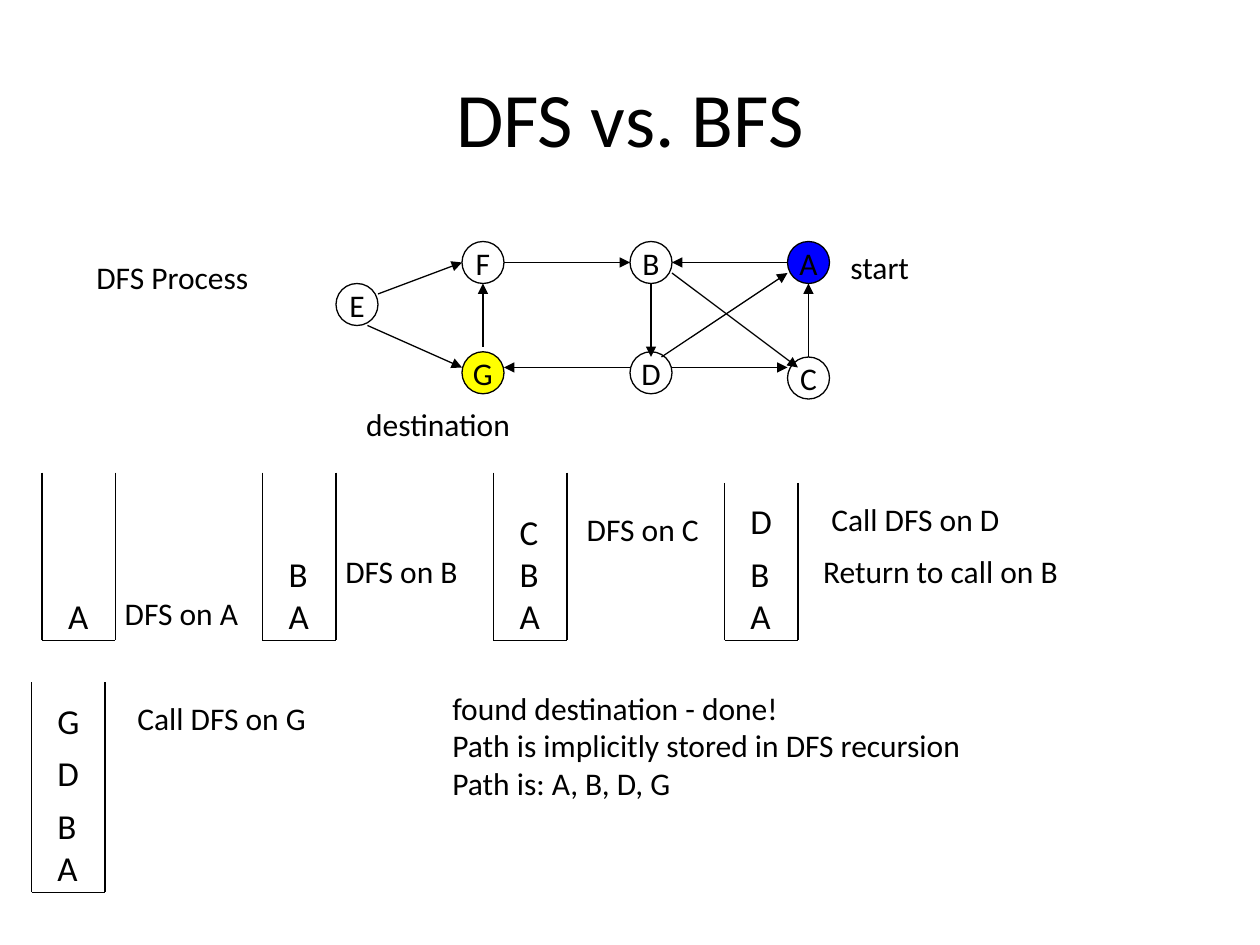
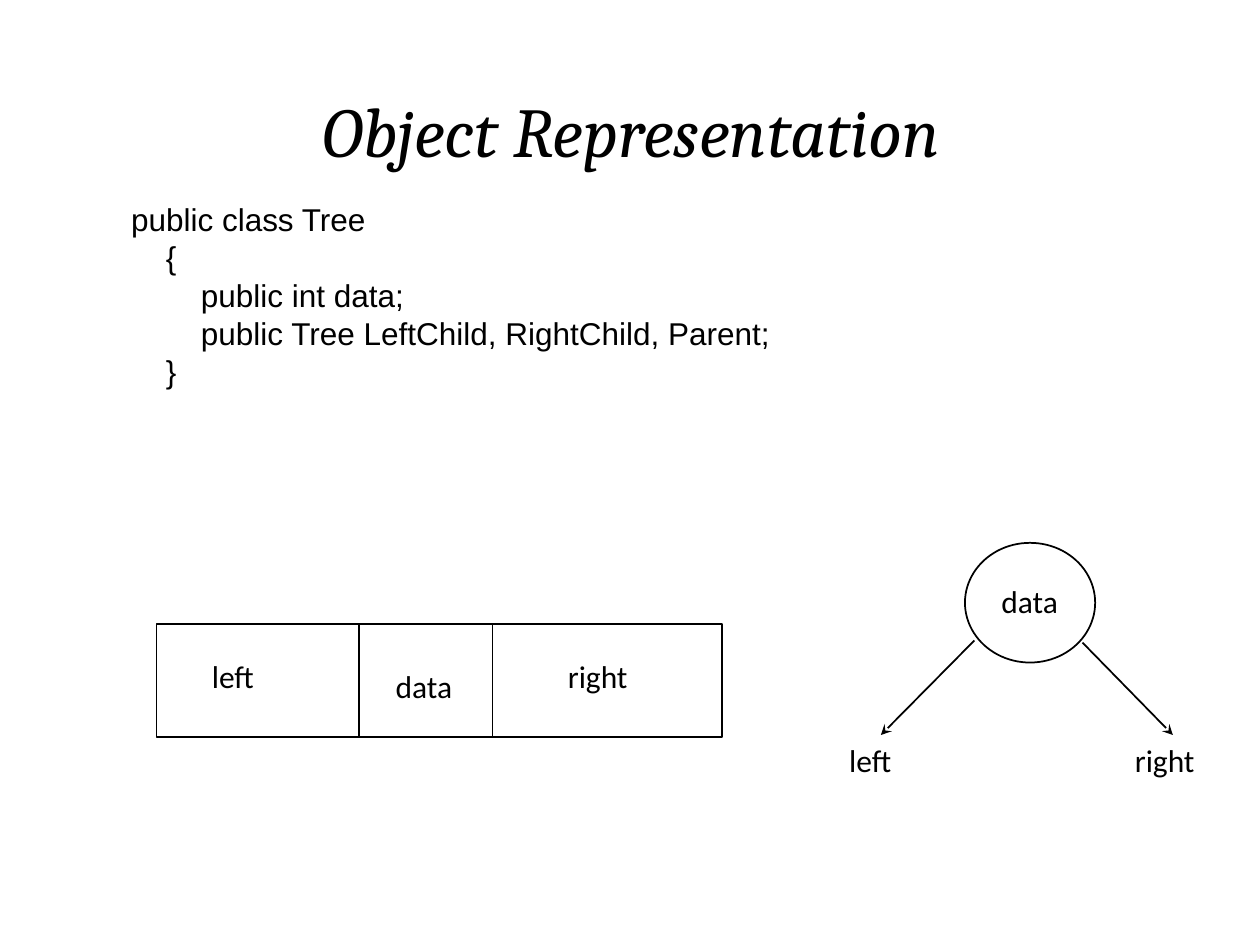
from dataclasses import dataclass

from lxml import etree
from pptx import Presentation
from pptx import util as u
from pptx.dml.color import RGBColor
from pptx.enum import shapes, text
from pptx.oxml.ns import qn

PX = 7620  # EMU per px, 120 px to the inch


@dataclass(frozen=True)
class Theme:
    ink: RGBColor = RGBColor(0, 0, 0)
    node: RGBColor = RGBColor(255, 255, 255)
    start: RGBColor = RGBColor(0, 0, 255)
    destination: RGBColor = RGBColor(255, 255, 0)
    font: str = "Calibri"
    code_font: str = "Arial"
    serif_font: str = "Cambria"
    label: int = 18
    letter: int = 20
    title: int = 44
    serif_title: int = 40
    thin: float = 0.75
    thick: float = 1


theme = Theme()


def write(shape, words, size=theme.label, font=theme.font, align=text.PP_ALIGN.LEFT,
          wrap=False, italic=None):
    """Fill a shape with text in one style."""
    frame = shape.text_frame
    frame.text = words
    frame.word_wrap = wrap
    for paragraph in frame.paragraphs:
        paragraph.alignment = align
        paragraph.font.size = u.Pt(size)
        paragraph.font.name = font
        paragraph.font.italic = italic
        paragraph.font.color.rgb = theme.ink


def draw_line(slide, start, end, weight=theme.thin, arrowhead=None):
    line = slide.shapes.add_connector(
        shapes.MSO_CONNECTOR.STRAIGHT, *(PX * v for v in (*start, *end)))
    line.line.color.rgb = theme.ink
    line.line.width = u.Pt(weight)
    properties = line._element.spPr
    if arrowhead:
        etree.SubElement(properties.find(qn("a:ln")), qn("a:tailEnd"), type=arrowhead)
    etree.SubElement(properties, qn("a:effectLst"))


prs = Presentation()
prs.slide_width, prs.slide_height = 1200 * PX, 900 * PX

# Titles
slides = []
for words, (left, top, width, height), size, font, italic in [
    ("DFS vs. BFS", (60, 36, 1080, 150), theme.title, theme.font, None),
    ("Object Representation", (0, 48, 1202, 150), theme.serif_title, theme.serif_font, True),
]:
    slide = prs.slides.add_slide(prs.slide_layouts[5])
    title = slide.shapes.title
    title.left, title.top, title.width, title.height = (
        left * PX, top * PX, width * PX, height * PX)
    write(title, words, size, font, text.PP_ALIGN.CENTER, wrap=True, italic=italic)
    slides.append(slide)
search, tree = slides

# Graph to search
NODE = 40
for name, left, top, colour in [
    ("E", 320, 270, theme.node),
    ("F", 440, 230, theme.node),
    ("G", 440, 335, theme.destination),
    ("B", 600, 230, theme.node),
    ("C", 750, 340, theme.node),
    ("D", 600, 335, theme.node),
    ("A", 750, 230, theme.start),
]:
    node = search.shapes.add_shape(
        shapes.MSO_SHAPE.OVAL, left * PX, top * PX, NODE * PX, NODE * PX)
    node.shadow.inherit = False
    node.fill.solid()
    node.fill.fore_color.rgb = colour
    node.line.color.rgb = theme.ink
    node.line.width = u.Pt(theme.thin)
    write(node, name, align=text.PP_ALIGN.CENTER)

for start, end in [
    ((360, 280), (440, 250)),  # E to F
    ((350, 310), (440, 350)),  # E to G
    ((480, 250), (600, 250)),  # F to B
    ((460, 330), (460, 270)),  # G to F
    ((600, 350), (480, 350)),  # D to G
    ((640, 350), (750, 350)),  # D to C
    ((640, 260), (760, 350)),  # B to C
    ((620, 270), (620, 340)),  # B to D
    ((630, 340), (750, 260)),  # D to A
    ((750, 250), (640, 250)),  # A to B
    ((770, 340), (770, 270)),  # C to A
]:
    draw_line(search, start, end, arrowhead="triangle")

# Call stacks: each letter sits at its rise above the stack's floor
STACK = 70
for left, top, floor, calls in [
    (40, 450, 610, {"A": 50}),
    (250, 450, 610, {"A": 50, "B": 90}),
    (470, 450, 610, {"A": 50, "B": 90, "C": 130}),
    (690, 460, 610, {"A": 50, "B": 90, "D": 140}),
    (30, 650, 850, {"A": 50, "B": 90, "D": 140, "G": 190}),
]:
    right = left + STACK
    draw_line(search, (left, top), (left, floor))
    draw_line(search, (right, top), (right, floor))
    draw_line(search, (left, floor), (right, floor))
    for name, rise in calls.items():
        letter = search.shapes.add_textbox(
            (left + 13) * PX, (floor - rise) * PX, 43 * PX, 53 * PX)
        write(letter, name, theme.letter)

# Node object: three fields in a row, and the same as a circle with two links
record_left, record_top, record_width, record_height = 149, 594, 539, 108
for kind, left, top, width, height in [
    (shapes.MSO_SHAPE.RECTANGLE, record_left, record_top, record_width, record_height),
    (shapes.MSO_SHAPE.OVAL, 919, 517, 124, 114),
]:
    outline = tree.shapes.add_shape(kind, left * PX, top * PX, width * PX, height * PX)
    outline.shadow.inherit = False
    outline.fill.background()
    outline.line.color.rgb = theme.ink
    outline.line.width = u.Pt(theme.thick)
for x in (342, 469):
    draw_line(tree, (x, record_top), (x, record_top + record_height), theme.thick)
for start, end in [((928, 610), (839, 700)), ((1031, 612), (1117, 700))]:
    draw_line(tree, start, end, theme.thick, "stealth")

# Labels on both slides
for slide, words, left, top, width in [
    (search, "DFS Process", 80, 240, 169),
    (search, "start", 798, 230, 80),
    (search, "destination", 337, 380, 161),
    (search, "DFS on A", 107, 560, 132),
    (search, "DFS on B", 317, 520, 131),
    (search, "DFS on C", 547, 480, 131),
    (search, "Call DFS on D", 780, 470, 185),
    (search, "Return to call on B", 772, 520, 248),
    (search, "Call DFS on G", 119, 660, 185),
    (search, "found destination - done!\nPath is implicitly stored in DFS recursion\n"
             "Path is: A, B, D, G", 419, 650, 511),
    (tree, "left", 190, 620, 65),
    (tree, "data", 365, 629, 79),
    (tree, "right", 529, 620, 82),
    (tree, "data", 942, 548, 79),
    (tree, "left", 797, 700, 65),
    (tree, "right", 1069, 700, 82),
]:
    height = 12 + 36 * len(words.splitlines())
    label = slide.shapes.add_textbox(left * PX, top * PX, width * PX, height * PX)
    write(label, words)

# Class listing
code = tree.shapes.add_textbox(113 * PX, 185 * PX, 948 * PX, 313 * PX)
write(code, """public class Tree
    {
        public int data;
        public Tree LeftChild, RightChild, Parent;
    }""", font=theme.code_font, wrap=True)

prs.save("out.pptx")
